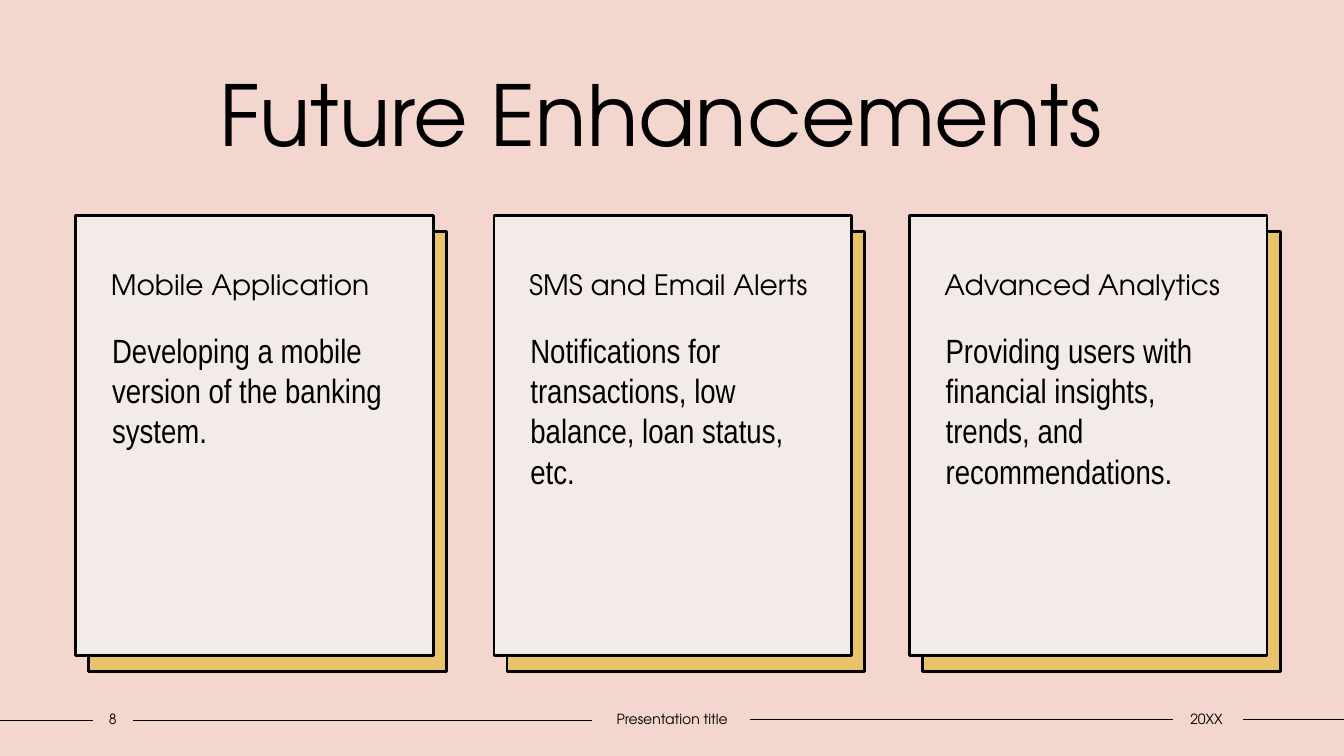
from lxml import etree
from pptx import Presentation
from pptx import util as u
from pptx.dml.color import RGBColor
from pptx.enum import shapes, text
from pptx.oxml.ns import qn

Pt = u.Pt
THEME = {
    "page": "F3D6CD", "card": "F3EBE8", "gold": "E9C369", "ink": "000000",
    "head": "TeX Gyre Adventor", "body": "Arial Narrow",
    "title": 60, "name": 20, "copy": 24, "foot": 10,
}


def box(left, top, wide, high, fill):
    """Add a bordered rectangle in the named theme fill."""
    rect = slide.shapes.add_shape(
        shapes.MSO_SHAPE.RECTANGLE, Pt(left), Pt(top), Pt(wide), Pt(high))
    rect.shadow.inherit = False
    rect.fill.solid()
    rect.fill.fore_color.rgb = RGBColor.from_string(THEME[fill])
    rect.line.color.rgb = RGBColor.from_string(THEME["ink"])
    rect.line.width = Pt(2)
    return rect


def write(shape, words, size, font="head", align="LEFT", anchor="TOP",
          inset=(7.2, 3.6, 7.2, 3.6)):
    """Fill a shape with one paragraph; inset is left, top, right, bottom."""
    frame = shape.text_frame
    frame.word_wrap = True
    frame.vertical_anchor = text.MSO_ANCHOR[anchor]
    frame.margin_left, frame.margin_top, frame.margin_right, frame.margin_bottom = map(Pt, inset)
    frame.text = words
    para = frame.paragraphs[0]
    para.alignment = text.PP_ALIGN[align]
    run = para.runs[0]
    run.font.name = THEME[font]
    run.font.size = Pt(THEME[size])
    run.font.color.rgb = RGBColor.from_string(THEME["ink"])
    return para


deck = Presentation()
deck.slide_width, deck.slide_height = Pt(960), Pt(540)
slide = deck.slides.add_slide(deck.slide_layouts[6])
slide.background.fill.solid()
slide.background.fill.fore_color.rgb = RGBColor.from_string(THEME["page"])

# Footer rules
for start, end, y in [(0, 66.2, 514.6), (95, 422.6, 514.6),
                      (535.7, 838, 514), (887.8, 960, 514)]:
    rule = slide.shapes.add_connector(
        shapes.MSO_CONNECTOR.STRAIGHT, Pt(start), Pt(y), Pt(end), Pt(y))
    rule.line.color.rgb = RGBColor.from_string(THEME["ink"])
    rule.line.width = Pt(1)
    etree.SubElement(rule._element.spPr, qn("a:effectLst"))

# Title
title = slide.shapes.add_textbox(Pt(90), Pt(40.3), Pt(780.5), Pt(80))
write(title, "Future Enhancements ", "title", align="CENTER", anchor="MIDDLE")

# Cards
cards = [
    (54, "Mobile Application",
     "Developing a mobile version of the banking system."),
    (352.8, "SMS and Email Alerts",
     "Notifications for transactions, low balance, loan status, etc."),
    (649.4, "Advanced Analytics",
     "Providing users with financial insights, trends, and recommendations."),
]
top, wide, high = 154, 255.6, 314
for left, name, copy in cards:
    box(left + 9.4, top + 11.6, wide, high, "gold")
    card = box(left, top, wide, high, "card")
    para = write(card, name, "name", inset=(25.2, 39.6, 7.2, 3.6))
    para.line_spacing = 0.9
    para.space_before = Pt(10)
    note = slide.shapes.add_textbox(Pt(left + 19), Pt(232), Pt(216), Pt(219.6))
    write(note, copy, "copy", font="body")

# Footer text
for left, span, words in [(66.2, 28.8, "8"), (422.6, 115.2, "Presentation title"),
                          (836.6, 50.4, "20XX")]:
    foot = slide.shapes.add_textbox(Pt(left), Pt(504), Pt(span), Pt(19.4))
    write(foot, words, "foot", align="CENTER", anchor="MIDDLE", inset=(0, 3.6, 0, 3.6))

deck.save("out.pptx")
